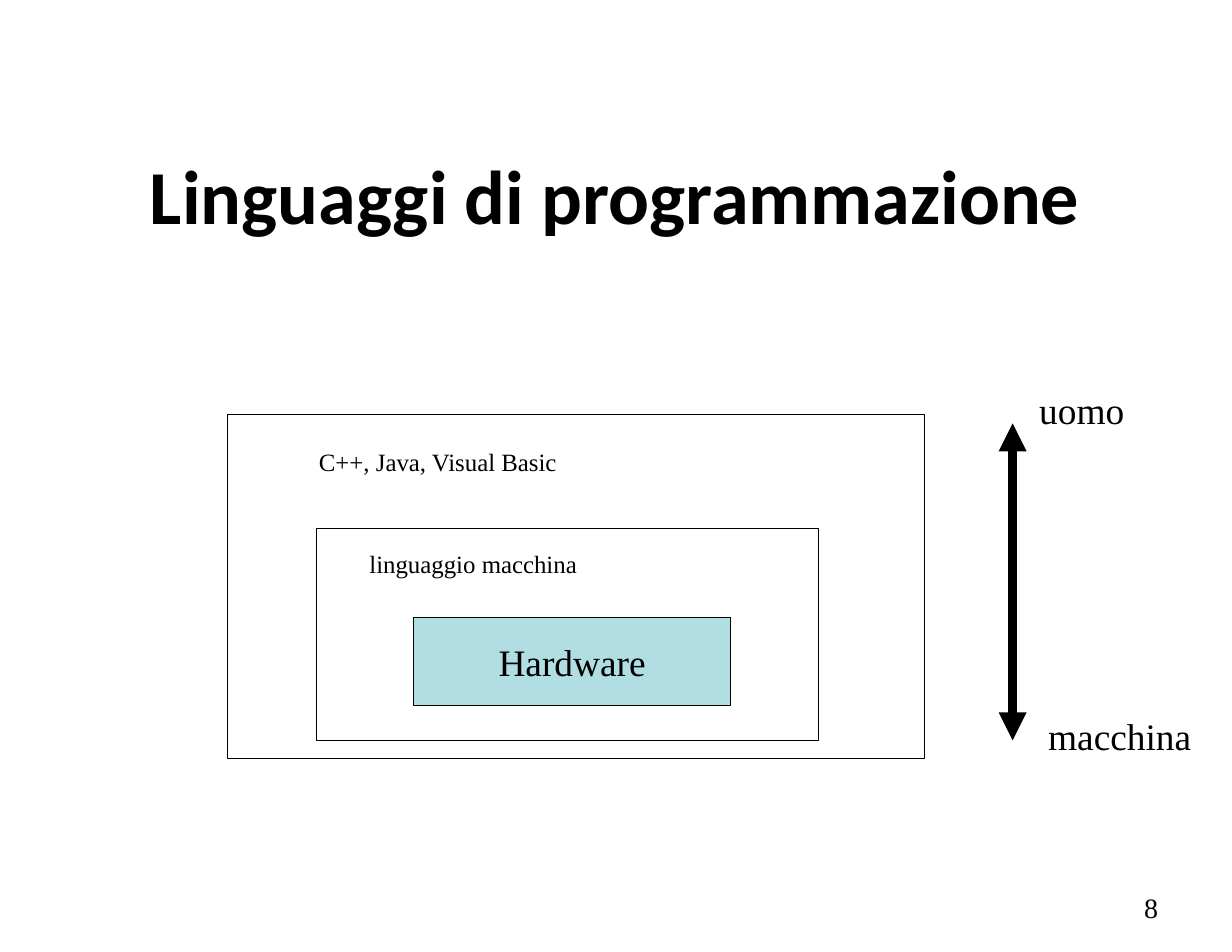
from lxml import etree
from pptx import Presentation
from pptx.dml.color import RGBColor
from pptx.enum.shapes import MSO_CONNECTOR, MSO_SHAPE
from pptx.enum.text import MSO_ANCHOR, MSO_AUTO_SIZE, PP_ALIGN
from pptx.oxml.ns import qn
from pptx.util import Pt

BLACK = RGBColor(0x00, 0x00, 0x00)
TEAL = RGBColor(0x8F, 0xD0, 0xD7)
SERIF = "Times New Roman"
LEFT, CENTER, RIGHT = PP_ALIGN.LEFT, PP_ALIGN.CENTER, PP_ALIGN.RIGHT
TOP, MIDDLE = MSO_ANCHOR.TOP, MSO_ANCHOR.MIDDLE
FIXED, GROW = MSO_AUTO_SIZE.NONE, MSO_AUTO_SIZE.SHAPE_TO_FIT_TEXT
RECTANGLE = MSO_SHAPE.RECTANGLE
STRAIGHT = MSO_CONNECTOR.STRAIGHT


def points(*lengths):
    return [Pt(length) for length in lengths]


def write_text(shape, text, size, font=SERIF, align=LEFT, anchor=TOP,
               bold=False, wrap=False, fit=FIXED):
    frame = shape.text_frame
    frame.text = text
    frame.word_wrap = wrap
    frame.auto_size = fit
    frame.vertical_anchor = anchor
    para = frame.paragraphs[0]
    para.alignment = align
    span = para.runs[0]
    span.font.name = font
    span.font.size = Pt(size)
    span.font.bold = bold
    span.font.color.rgb = BLACK


def add_label(page, box, text, size, fit=GROW, **style):
    label = page.shapes.add_textbox(*points(*box))
    write_text(label, text, size, fit=fit, **style)


def add_frame(page, box):
    frame = page.shapes.add_shape(RECTANGLE, *points(*box))
    frame.shadow.inherit = False
    frame.fill.background()
    frame.line.color.rgb = BLACK
    frame.line.width = Pt(0.75)
    return frame


def add_layers(page, box):
    """Nest the hardware inside the machine language and the high-level languages."""
    left, top, width, height = box
    hardware = add_frame(page, (left + 119.5, top + 130.3, 204.2, 57))
    hardware.fill.solid()
    hardware.fill.fore_color.rgb = TEAL
    color = hardware.fill._xPr.find(qn("a:solidFill"))[0]
    etree.SubElement(color, qn("a:alpha"), val="70000")
    write_text(hardware, "Hardware", 24, align=CENTER, anchor=MIDDLE)

    add_frame(page, (left + 57.2, top + 73.5, 323, 136))
    add_label(page, (left + 84.2, top + 83, 147.6, 26.6), "linguaggio macchina", 16)
    add_frame(page, box)
    add_label(page, (left + 51.8, top + 17.5, 168.5, 26.6), "C++, Java, Visual Basic", 16)


def add_scale(page, box):
    """Draw the double arrow from human to machine along the left of the box."""
    left, top, width, height = box
    arrow = page.shapes.add_connector(
        STRAIGHT, *points(left, top, left, top + height))
    arrow.line.color.rgb = BLACK
    arrow.line.width = Pt(6)
    line = arrow.line._get_or_add_ln()
    for end in ("a:headEnd", "a:tailEnd"):
        etree.SubElement(line, qn(end), type="triangle")
    etree.SubElement(arrow._element.spPr, qn("a:effectLst"))

    add_label(page, (left + 15.8, top + height - 21, 108, 36), "macchina", 24)
    add_label(page, (left + 10, top - 26.6, 69, 36), "uomo", 24)


def main():
    deck = Presentation()
    deck.slide_width, deck.slide_height = points(792, 612)
    page = deck.slides.add_slide(deck.slide_layouts[6])
    add_label(page, (44.6, 73.4, 701.3, 102.2), "Linguaggi di programmazione", 49,
              fit=FIXED, font="Calibri", align=CENTER, anchor=MIDDLE, bold=True, wrap=True)
    add_label(page, (566.7, 567.1, 185, 32.4), "8", 18,
              fit=FIXED, align=RIGHT, anchor=MIDDLE, wrap=True)
    add_layers(page, (146.2, 266.4, 448, 221.2))
    add_scale(page, (651, 272.2, 124, 203.8))
    deck.save("out.pptx")


if __name__ == "__main__":
    main()
